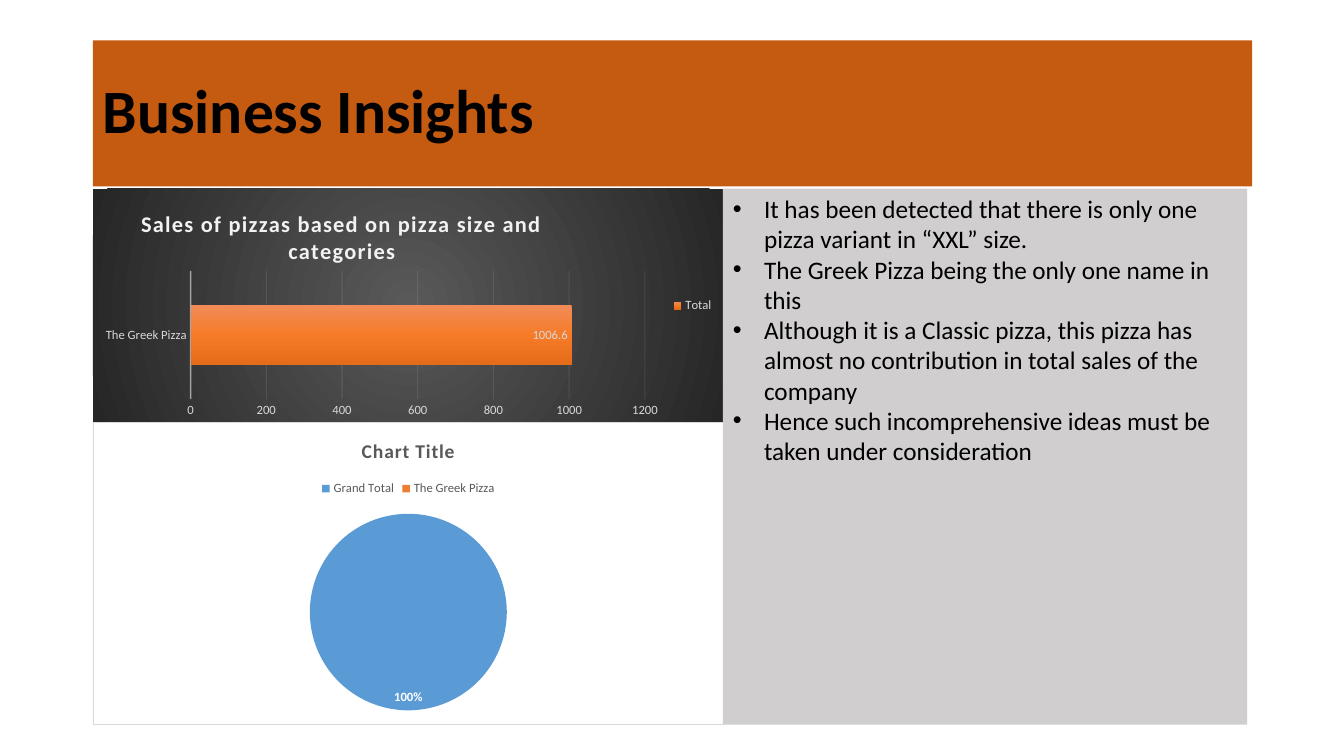
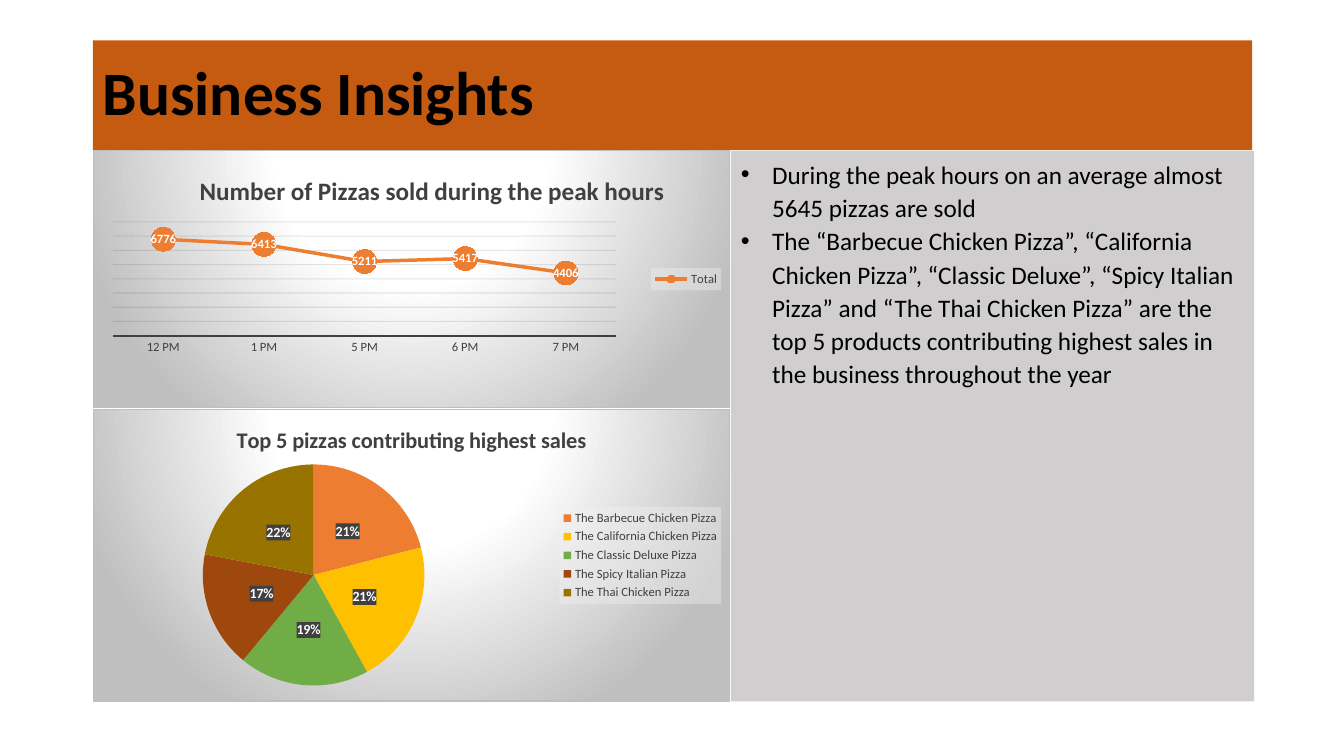
from lxml import etree
from pptx import Presentation
from pptx import util as u
from pptx.chart import data as chart_data
from pptx.dml.color import RGBColor
from pptx.enum import chart as ch, shapes, text
from pptx.oxml import ns, parse_xml

COLORS = {
    "band": "C55A11", "panel": "D0CECE", "ink": "000000", "white": "FFFFFF",
    "pale": "F2F2F2", "silver": "D9D9D9", "steel": "BFBFBF", "grey": "595959",
    "dark": "404040", "coal": "262626", "near_black": "0D0D0D",
    "blue": "5B9BD5", "orange": "ED7D31", "gold": "FFC000", "green": "70AD47",
    "rust": "9E480E", "olive": "997300",
    "bar_top": "F18C57", "bar_middle": "F67B28", "bar_bottom": "E56C19",
}
FONT = "Calibri"
LEFT, TOP, BAND_WIDTH = 0.92, 0.4, 11.5
BULLET_INDENT = 0.31


def rgb(name):
    return RGBColor.from_string(COLORS[name])


def solid(name, alpha=100):
    return (f'<a:solidFill><a:srgbClr val="{COLORS[name]}">'
            f'<a:alpha val="{alpha * 1000}"/></a:srgbClr></a:solidFill>')


def gradient(stops, shade):
    marks = "".join(f'<a:gs pos="{at * 1000}"><a:srgbClr val="{COLORS[name]}"/></a:gs>'
                    for at, name in stops)
    return f"<a:gradFill><a:gsLst>{marks}</a:gsLst>{shade}</a:gradFill>"


def radial(stops, top, bottom):
    rect = f'<a:fillToRect l="50000" t="{top * 1000}" r="50000" b="{bottom * 1000}"/>'
    return gradient(stops, f'<a:path path="circle">{rect}</a:path>')


CHARCOAL = radial([(0, "grey"), (100, "coal")], 50, 50)
SPOTLIGHT = radial([(0, "white"), (39, "white"), (100, "steel")], -80, 180)
BAR_FILL = gradient([(0, "bar_top"), (50, "bar_middle"), (100, "bar_bottom")],
                    '<a:lin ang="5400000" scaled="0"/>')


def add_surface(chart, place, fill, border=None):
    """Put fill and border properties right after the element found at place."""
    line = f'<a:ln w="9525">{solid(border)}</a:ln>' if border else "<a:ln><a:noFill/></a:ln>"
    anchor = chart.element.xpath(place)[0]
    anchor.addnext(parse_xml(f'<c:spPr {ns.nsdecls("c", "a")}>{fill}{line}</c:spPr>'))


def fade(chart, place, percent):
    for color in chart.element.xpath(f"{place}//a:srgbClr"):
        etree.SubElement(color, ns.qn("a:alpha")).set("val", str(percent * 1000))


def set_layout(chart, place, index, **fractions):
    """Fix the position of a title or plot area as fractions of the chart."""
    owner = chart.element.xpath(place)[0]
    for old in owner.findall(ns.qn("c:layout")):
        owner.remove(old)
    inner = '<c:layoutTarget val="inner"/>' if "w" in fractions else ""
    modes = '<c:xMode val="edge"/><c:yMode val="edge"/>'
    sizes = "".join(f'<c:{key} val="{value}"/>' for key, value in fractions.items())
    owner.insert(index, parse_xml(
        f'<c:layout {ns.nsdecls("c")}><c:manualLayout>{inner}{modes}{sizes}'
        f"</c:manualLayout></c:layout>"))


class Report:
    def __init__(self):
        self.deck = Presentation()
        self.deck.slide_width, self.deck.slide_height = u.Inches(13.33), u.Inches(7.5)
        self.slide = None

    def style(self, font, size, color, bold=False):
        font.name, font.size, font.bold = FONT, u.Pt(size), bold
        font.color.rgb = rgb(color)

    def add_slide(self, title, height):
        self.slide = self.deck.slides.add_slide(self.deck.slide_layouts[5])
        band = self.slide.shapes.title
        band.left, band.top = u.Inches(LEFT), u.Inches(TOP)
        band.width, band.height = u.Inches(BAND_WIDTH), u.Inches(height)
        band.fill.solid()
        band.fill.fore_color.rgb = rgb("band")
        frame = band.text_frame
        frame.auto_size = text.MSO_AUTO_SIZE.NONE
        frame.vertical_anchor = text.MSO_ANCHOR.MIDDLE
        para = frame.paragraphs[0]
        para.alignment, para.line_spacing = text.PP_ALIGN.LEFT, 0.9
        span = para.add_run()
        span.text = title
        self.style(span.font, 44, "ink", True)

    def add_panel(self, left, top, width, height, points, spacing=1.0):
        box = self.slide.shapes.add_shape(
            shapes.MSO_SHAPE.RECTANGLE, *map(u.Inches, (left, top, width, height)))
        box.shadow.inherit = False
        box.fill.solid()
        box.fill.fore_color.rgb = rgb("panel")
        box.line.fill.background()
        frame = box.text_frame
        frame.word_wrap = True
        frame.vertical_anchor = text.MSO_ANCHOR.TOP
        for number, point in enumerate(points):
            para = frame.add_paragraph() if number else frame.paragraphs[0]
            para.alignment, para.line_spacing = text.PP_ALIGN.LEFT, spacing
            props = para._p.get_or_add_pPr()
            props.set("marL", str(u.Inches(BULLET_INDENT)))
            props.set("indent", str(-u.Inches(BULLET_INDENT)))
            etree.SubElement(props, ns.qn("a:buFont")).set("typeface", "Arial")
            etree.SubElement(props, ns.qn("a:buChar")).set("char", "•")
            span = para.add_run()
            span.text = point
            self.style(span.font, 18, "ink")

    def add_chart(self, kind, top, width, height, names, series_name, values, fill, border=None):
        source = chart_data.CategoryChartData()
        source.categories = names
        source.add_series(series_name, values)
        chart = self.slide.shapes.add_chart(
            kind, *map(u.Inches, (LEFT, top, width, height)), source).chart
        self.style(chart.font, 10, "ink")
        add_surface(chart, "c:chart", fill, border)
        chart.plots[0].vary_by_categories = kind == ch.XL_CHART_TYPE.PIE
        return chart

    def add_chart_title(self, chart, title, size, color, spacing=0):
        chart.has_title = True
        span = chart.chart_title.text_frame.paragraphs[0].add_run()
        span.text = title
        self.style(span.font, size, color, True)
        span._r.get_or_add_rPr().set("spc", str(spacing))

    def add_legend(self, chart, position, color, plate=False):
        chart.has_legend = True
        chart.legend.position = position
        chart.legend.include_in_layout = False
        self.style(chart.legend.font, 9, color)
        if plate:
            add_surface(chart, ".//c:legend/c:overlay", solid("pale", 39))

    def add_labels(self, chart, position, color, size=9, bold=True, percent=False):
        labels = chart.plots[0].series[0].data_labels
        labels.show_value, labels.show_percentage = not percent, percent
        labels.number_format = "0%" if percent else "General"
        labels.number_format_is_linked = False
        labels.position = position
        self.style(labels.font, size, color, bold)

    def style_axis(self, axis, color):
        axis.major_tick_mark = axis.minor_tick_mark = ch.XL_TICK_MARK.NONE
        self.style(axis.tick_labels.font, 9, color)

    def style_line(self, line, color, width):
        line.color.rgb = rgb(color)
        line.width = u.Pt(width)

    def style_grid(self, chart, color):
        chart.value_axis.has_major_gridlines = True
        self.style_line(chart.value_axis.major_gridlines.format.line, color, 0.75)
        fade(chart, ".//c:majorGridlines", 10)

    def color_slices(self, chart, colors):
        for number, color in enumerate(colors):
            fill = chart.plots[0].series[0].points[number].format.fill
            fill.solid()
            fill.fore_color.rgb = rgb(color)


def build_greek_pizza(report):
    report.add_slide("Business Insights", 1.45)
    bars = report.add_chart(ch.XL_CHART_TYPE.BAR_CLUSTERED, 1.87, 6.26, 2.32,
                            ["The Greek Pizza"], "Total", [1006.6], CHARCOAL)
    report.add_chart_title(bars, "Sales of pizzas based on pizza size and categories",
                           16, "pale", 100)
    set_layout(bars, ".//c:title", 1, x=0.07, y=0.07)
    set_layout(bars, ".//c:plotArea", 0, x=0.155, y=0.353, w=0.72, h=0.547)
    report.add_legend(bars, ch.XL_LEGEND_POSITION.RIGHT, "silver")
    report.add_labels(bars, ch.XL_LABEL_POSITION.INSIDE_END, "silver", bold=False)
    bars.plots[0].gap_width, bars.plots[0].overlap = 115, -20
    add_surface(bars, ".//c:ser/c:tx", BAR_FILL)
    for axis in (bars.category_axis, bars.value_axis):
        report.style_axis(axis, "silver")
    report.style_line(bars.category_axis.format.line, "pale", 1)
    fade(bars, ".//c:catAx/c:spPr", 54)
    bars.value_axis.format.line.fill.background()
    report.style_grid(bars, "pale")

    pie = report.add_chart(ch.XL_CHART_TYPE.PIE, 4.19, 6.26, 3,
                           ["Grand Total", "The Greek Pizza"], "Series 1", [100, 0],
                           solid("white"), "silver")
    report.add_chart_title(pie, "Chart Title", 14, "grey", 50)
    report.add_legend(pie, ch.XL_LEGEND_POSITION.TOP, "grey")
    report.add_labels(pie, ch.XL_LABEL_POSITION.INSIDE_END, "white", percent=True)
    report.color_slices(pie, ["blue", "orange"])

    report.add_panel(7.17, 1.87, 5.2, 5.32, [
        "It has been detected that there is only one pizza variant in “XXL” size.",
        "The Greek Pizza being the only one name in this",
        "Although it is a Classic pizza, this pizza has almost no contribution in total "
        "sales of the company",
        "Hence such incomprehensive ideas must be taken under consideration",
    ])


def build_peak_hours(report):
    report.add_slide("Business Insights", 1.09)
    hours = report.add_chart(ch.XL_CHART_TYPE.LINE_MARKERS_STACKED, 1.49, 6.32, 2.56,
                             ["12 PM", "1 PM", "5 PM", "6 PM", "7 PM"], "Total",
                             [6776, 6413, 5211, 5417, 4406], SPOTLIGHT, "steel")
    report.add_chart_title(hours, "Number of Pizzas sold during the peak hours", 18, "dark")
    set_layout(hours, ".//c:title", 1, x=0.16, y=0.07)
    set_layout(hours, ".//c:plotArea", 0, x=0.031, y=0.277, w=0.791, h=0.443)
    report.add_legend(hours, ch.XL_LEGEND_POSITION.RIGHT, "dark", plate=True)
    report.add_labels(hours, ch.XL_LABEL_POSITION.CENTER, "white")
    report.style_axis(hours.category_axis, "dark")
    report.style_line(hours.category_axis.format.line, "dark", 1.5)
    report.style_grid(hours, "near_black")
    hours.value_axis.visible = False
    total = hours.plots[0].series[0]
    total.smooth = False
    report.style_line(total.format.line, "orange", 2.5)
    total.marker.style, total.marker.size = ch.XL_MARKER_STYLE.CIRCLE, 17
    total.marker.format.fill.solid()
    total.marker.format.fill.fore_color.rgb = rgb("orange")
    total.marker.format.line.fill.background()

    pie = report.add_chart(ch.XL_CHART_TYPE.PIE, 4.06, 6.32, 2.9,
                           ["The Barbecue Chicken Pizza", "The California Chicken Pizza",
                            "The Classic Deluxe Pizza", "The Spicy Italian Pizza",
                            "The Thai Chicken Pizza"],
                           "Series 1", [21, 21, 19, 17, 22], SPOTLIGHT, "steel")
    report.add_chart_title(pie, "Top 5 pizzas contributing highest sales", 16, "dark")
    set_layout(pie, ".//c:plotArea", 0, x=0.047, y=0.188, w=0.599, h=0.759)
    report.add_legend(pie, ch.XL_LEGEND_POSITION.RIGHT, "dark", plate=True)
    report.add_labels(pie, ch.XL_LABEL_POSITION.CENTER, "white", size=10, percent=True)
    add_surface(pie, ".//c:ser/c:dLbls/c:numFmt", solid("dark", 90))
    report.color_slices(pie, ["orange", "gold", "green", "rust", "olive"])

    report.add_panel(7.25, 1.5, 5.19, 5.46, [
        "During the peak hours on an average almost 5645 pizzas are sold",
        "The “Barbecue Chicken Pizza”, “California Chicken Pizza”, “Classic Deluxe”, "
        "“Spicy Italian Pizza” and “The Thai Chicken Pizza” are the top 5 products "
        "contributing highest sales in the business throughout the year",
    ], spacing=1.1)


def main():
    report = Report()
    build_greek_pizza(report)
    build_peak_hours(report)
    report.deck.save("out.pptx")


if __name__ == "__main__":
    main()
